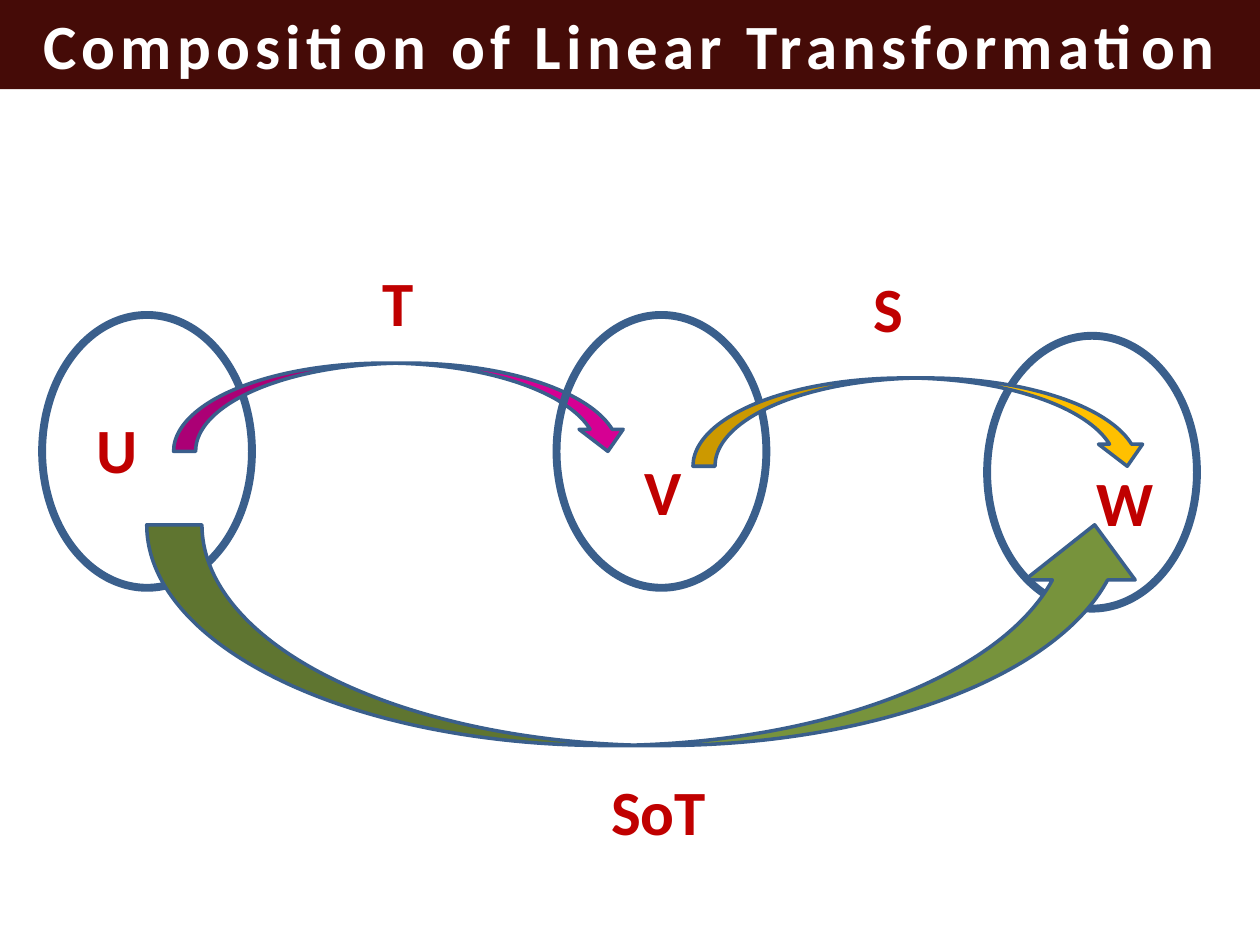
from dataclasses import dataclass

from pptx import Presentation
from pptx.dml.color import RGBColor
from pptx.enum.shapes import MSO_SHAPE
from pptx.enum.text import MSO_AUTO_SIZE, PP_ALIGN
from pptx.shapes.autoshape import Shape
from pptx.slide import Slide
from pptx.util import Cm, Pt

RECTANGLE = MSO_SHAPE.RECTANGLE
OVAL = MSO_SHAPE.OVAL
ARC_OVER = MSO_SHAPE.CURVED_DOWN_ARROW
ARC_UNDER = MSO_SHAPE.CURVED_UP_ARROW
FIT_TEXT = MSO_AUTO_SIZE.SHAPE_TO_FIT_TEXT
CENTER = PP_ALIGN.CENTER

FONT = "Calibri"
OUTLINE = "3A5F8C"
LABEL_RED = "C00000"
WHITE = "FFFFFF"
BANNER = "450B07"
SLIDE_WIDTH, SLIDE_HEIGHT = 25.4, 19.05
TEXT_HEIGHT = 1.8
SPACE_WIDTH, SPACE_HEIGHT = 4.23, 5.5
MAP_WIDTH, MAP_HEIGHT = 9.2, 1.78


@dataclass
class Figure:
    """A set or a map of the diagram, in centimetres; no fill leaves it open."""
    kind: MSO_SHAPE
    left: float
    top: float
    width: float
    height: float
    fill: str | None = None
    line_width: float = 2


@dataclass
class Label:
    text: str
    left: float
    top: float
    width: float


def vector_space(left: float, top: float) -> Figure:
    return Figure(OVAL, left, top, SPACE_WIDTH, SPACE_HEIGHT, line_width=4.5)


def single_map(left: float, top: float, fill: str) -> Figure:
    return Figure(ARC_OVER, left, top, MAP_WIDTH, MAP_HEIGHT, fill)


# Back to front: the space V lies over the tip of the map T.
FIGURES = [
    vector_space(0.85, 6.35),
    vector_space(19.9, 6.77),
    single_map(3.5, 7.32, "D60093"),
    vector_space(11.22, 6.35),
    single_map(13.97, 7.62, "FFC000"),
    Figure(ARC_UNDER, 2.96, 10.58, 20.22, 4.45, "77933C"),
]

LABELS = [
    Label("U", 1.7, 8.15, 1.65),
    Label("V", 12.75, 9, 1.55),
    Label("W", 21.85, 9.22, 1.96),
    Label("T", 7.46, 5.18, 1.45),
    Label("S", 17.35, 5.3, 1.4),
    Label("SoT", 12.07, 15.45, 2.74),
]


def color(hex_value: str) -> RGBColor:
    return RGBColor.from_string(hex_value)


def write(shape: Shape, text: str, text_color: str, spacing: float = 0) -> None:
    """Add one bold run; spacing is the extra gap between letters in points."""
    run = shape.text_frame.paragraphs[0].add_run()
    run.text = text
    run.font.name = FONT
    run.font.size = Pt(36)
    run.font.bold = True
    run.font.color.rgb = color(text_color)
    if spacing:
        run._r.get_or_add_rPr().set("spc", str(round(spacing * 100)))


def draw_banner(slide: Slide, title: str) -> None:
    banner = slide.shapes.add_shape(RECTANGLE, 0, 0, Cm(SLIDE_WIDTH), Cm(TEXT_HEIGHT))
    banner.shadow.inherit = False
    banner.fill.solid()
    banner.fill.fore_color.rgb = color(BANNER)
    banner.line.fill.background()
    banner.text_frame.word_wrap = True
    banner.text_frame.auto_size = FIT_TEXT
    banner.text_frame.paragraphs[0].alignment = CENTER
    write(banner, title, WHITE, spacing=3)


def draw_figure(slide: Slide, figure: Figure) -> None:
    shape = slide.shapes.add_shape(
        figure.kind, Cm(figure.left), Cm(figure.top), Cm(figure.width), Cm(figure.height)
    )
    shape.shadow.inherit = False
    if figure.fill:
        shape.fill.solid()
        shape.fill.fore_color.rgb = color(figure.fill)
    else:
        shape.fill.background()
    shape.line.color.rgb = color(OUTLINE)
    shape.line.width = Pt(figure.line_width)


def draw_label(slide: Slide, label: Label) -> None:
    box = slide.shapes.add_textbox(
        Cm(label.left), Cm(label.top), Cm(label.width), Cm(TEXT_HEIGHT)
    )
    box.text_frame.word_wrap = False
    box.text_frame.auto_size = FIT_TEXT
    write(box, label.text, LABEL_RED)


def main() -> None:
    presentation = Presentation()
    presentation.slide_width = Cm(SLIDE_WIDTH)
    presentation.slide_height = Cm(SLIDE_HEIGHT)
    slide = presentation.slides.add_slide(presentation.slide_layouts[6])
    draw_banner(slide, "Composition of Linear Transformation")
    for figure in FIGURES:
        draw_figure(slide, figure)
    for label in LABELS:
        draw_label(slide, label)
    presentation.save("out.pptx")


if __name__ == "__main__":
    main()
